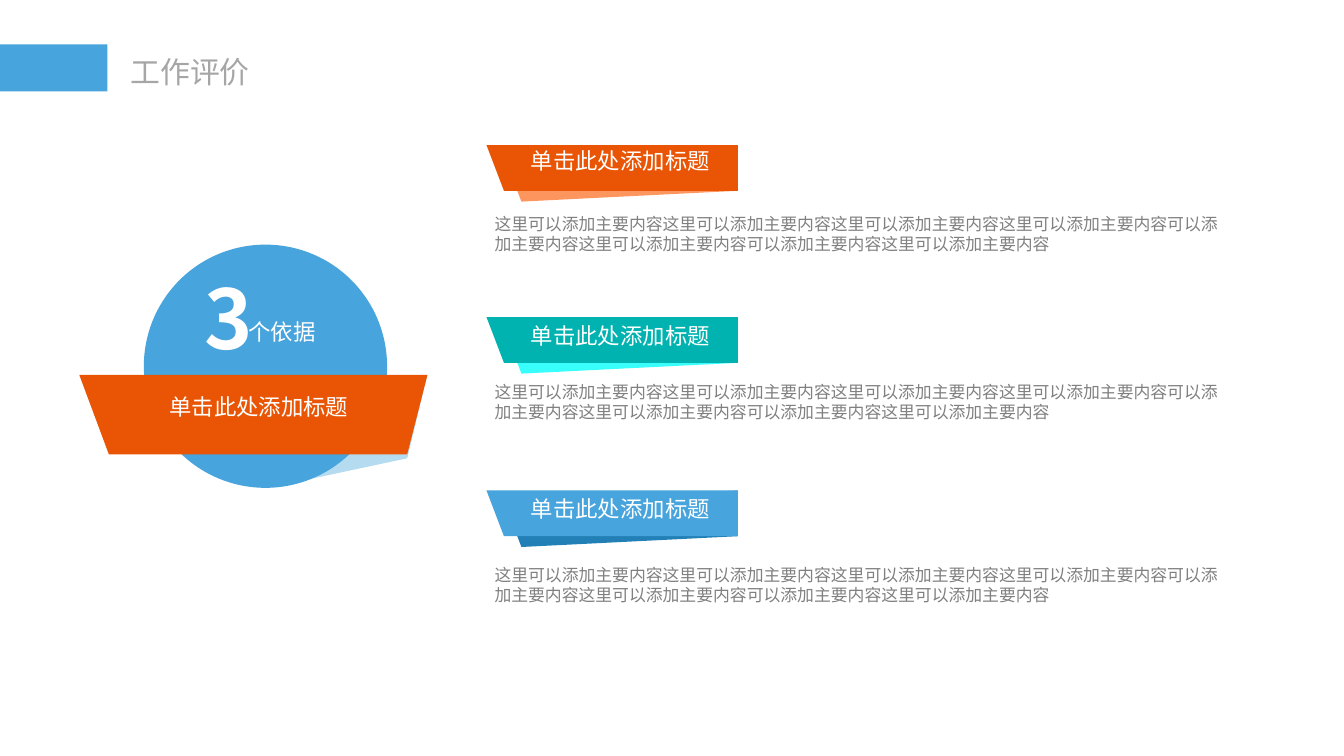
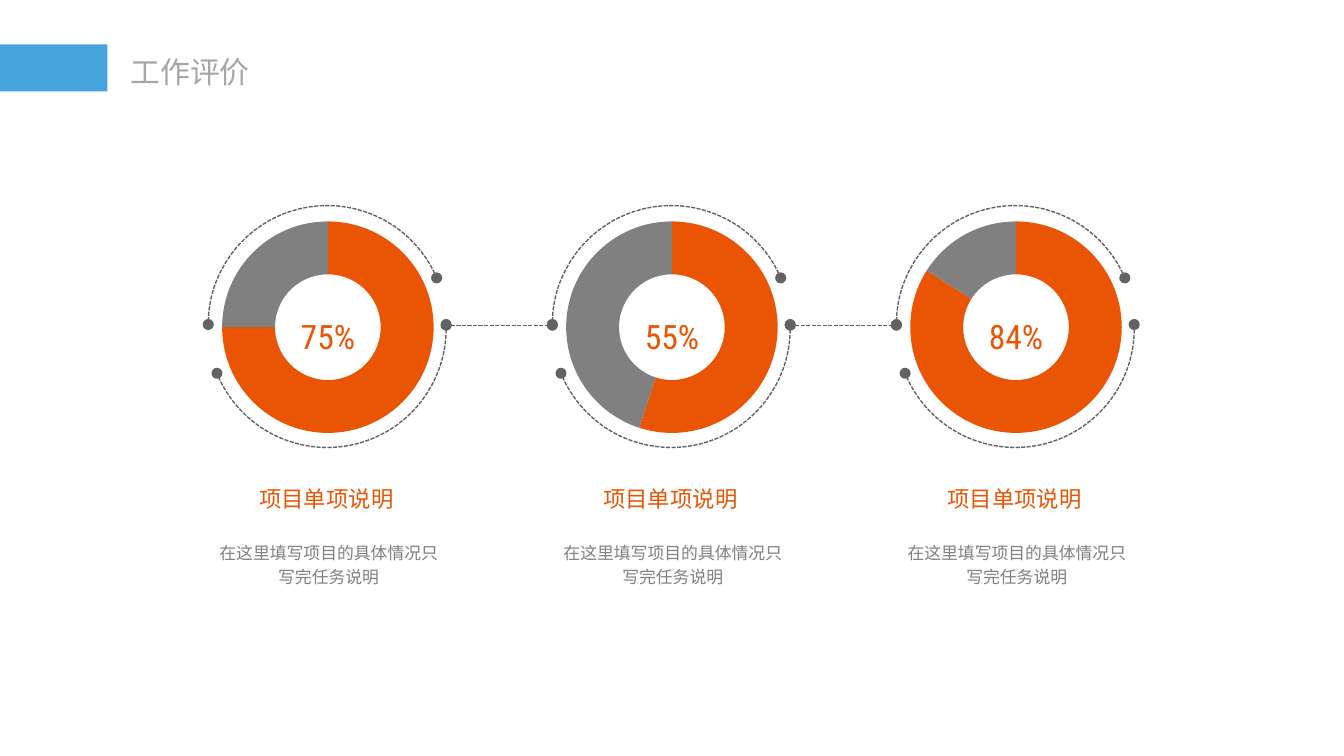
"""Build two work review slides: three criteria and three progress rings."""
from lxml import etree
from pptx import Presentation
from pptx.chart.data import CategoryChartData
from pptx.dml.color import RGBColor
from pptx.enum.chart import XL_CHART_TYPE
from pptx.enum.dml import MSO_LINE
from pptx.enum.shapes import MSO_CONNECTOR, MSO_SHAPE
from pptx.enum.text import MSO_ANCHOR, MSO_AUTO_SIZE, PP_ALIGN
from pptx.oxml.ns import qn
from pptx.util import Inches, Pt

RECTANGLE, OVAL, ARC = MSO_SHAPE.RECTANGLE, MSO_SHAPE.OVAL, MSO_SHAPE.ARC
STRAIGHT = MSO_CONNECTOR.STRAIGHT
DOUGHNUT = XL_CHART_TYPE.DOUGHNUT
SYSTEM_DASH = MSO_LINE.SQUARE_DOT
LEFT, CENTER, JUSTIFY = PP_ALIGN.LEFT, PP_ALIGN.CENTER, PP_ALIGN.JUSTIFY
TOP, MIDDLE = MSO_ANCHOR.TOP, MSO_ANCHOR.MIDDLE
FIT_SHAPE = MSO_AUTO_SIZE.SHAPE_TO_FIT_TEXT

SLIDE_WIDTH = Inches(10)
SLIDE_HEIGHT = SLIDE_WIDTH * 9 // 16

BLUE = RGBColor(0x47, 0xA4, 0xDC)
DARK_BLUE = RGBColor(0x23, 0x80, 0xB7)
PALE_BLUE = RGBColor(0xB5, 0xDB, 0xF1)
ORANGE = RGBColor(0xE9, 0x55, 0x04)
PALE_ORANGE = RGBColor(0xFC, 0x96, 0x5E)
TEAL = RGBColor(0x00, 0xB3, 0xB0)
CYAN = RGBColor(0x38, 0xFF, 0xFC)
WHITE = RGBColor(0xFF, 0xFF, 0xFF)
BLACK = RGBColor(0x00, 0x00, 0x00)
TITLE_GRAY = RGBColor(0xA6, 0xA6, 0xA6)
TEXT_GRAY = RGBColor(0x80, 0x80, 0x80)
LINE_GRAY = RGBColor(0x62, 0x62, 0x62)

MAIN_FONT = "Noto Sans CJK SC"
NUMBER_FONT = "Roboto Condensed"
CHART_FONT = "Calibri"
SMALL_INSETS = (0.07, 0.04)
TITLE_INSETS = (0.08, 0.04)
WIDE_INSETS = (0.1, 0.05)

TITLE = "工作评价"
LABEL = "单击此处添加标题"
BODY = (
    "这里可以添加主要内容这里可以添加主要内容这里可以添加主要内容这里可以添加主要内容"
    "可以添加主要内容这里可以添加主要内容可以添加主要内容这里可以添加主要内容"
)
CRITERIA = [
    {"top": 1.08, "label_top": 1.11, "body_top": 1.55, "color": ORANGE, "fold": PALE_ORANGE},
    {"top": 2.36, "label_top": 2.41, "body_top": 2.8, "color": TEAL, "fold": CYAN},
    {"top": 3.65, "label_top": 3.7, "body_top": 4.16, "color": BLUE, "fold": DARK_BLUE},
]
RIBBON = [(3.62, 0), (5.49, 0), (5.49, 0.34), (3.75, 0.34)]
RIBBON_FOLD = [(3.75, 0.08), (5.49, 0), (5.49, 0.34), (3.88, 0.42)]
BANNER = [(0.59, 2.79), (3.18, 2.79), (3.03, 3.38), (0.81, 3.38)]
BANNER_FOLD = [(2.07, 3.02), (3.18, 2.79), (3.03, 3.41), (2.28, 3.57)]

RING_HEADING = "项目单项说明"
RING_DETAIL = "在这里填写项目的具体情况只写完任务说明"
RINGS = [(75, 70), (55, 80), (84, 70)]
RING_PITCH = 2.56
ARC_LEFT, ARC_SIZE = 1.55, 1.77
ARCS = [
    (1.53, (121.84, 0), ("flipH",)),
    (1.56, (106.84, 202.74), ("flipH", "flipV")),
]
LINK_HEIGHT = 2.42


def paint(shape, color):
    shape.shadow.inherit = False
    shape.fill.solid()
    shape.fill.fore_color.rgb = color
    shape.line.fill.background()


def add_solid(slide, preset, box, color):
    paint(slide.shapes.add_shape(preset, *map(Inches, box)), color)


def add_outline(slide, points, color, top=0):
    corners = [(Inches(x), Inches(top + y)) for x, y in points]
    builder = slide.shapes.build_freeform(*corners[0], scale=1.0)
    builder.add_line_segments(corners[1:], close=True)
    paint(builder.convert_to_shape(), color)


def add_text(slide, box, text, size, color, font=MAIN_FONT, insets=SMALL_INSETS,
             align=LEFT, anchor=TOP, wrap=False, spacing=None, bold=False):
    frame = slide.shapes.add_textbox(*map(Inches, box)).text_frame
    frame.word_wrap = wrap
    frame.auto_size = FIT_SHAPE
    frame.vertical_anchor = anchor
    frame.margin_left = frame.margin_right = Inches(insets[0])
    frame.margin_top = frame.margin_bottom = Inches(insets[1])
    paragraph = frame.paragraphs[0]
    paragraph.alignment = align
    if spacing:
        paragraph.line_spacing = spacing
    run = paragraph.add_run()
    run.text = text
    run.font.size = Pt(size)
    run.font.bold = bold
    run.font.color.rgb = color
    run.font.name = font
    etree.SubElement(run.font._element, qn("a:ea"), typeface=font)


def add_label(slide, left, top):
    add_text(slide, (left, top, 1.5, 0.22), LABEL, 12, WHITE, spacing=0.7)


def style_dashed(shape):
    shape.line.color.rgb = LINE_GRAY
    shape.line.width = Pt(0.75)
    shape.line.dash_style = SYSTEM_DASH
    outline = shape.line._get_or_add_ln()
    for end in ("a:headEnd", "a:tailEnd"):
        etree.SubElement(outline, qn(end), type="oval")


def add_link(slide, start, end):
    link = slide.shapes.add_connector(
        STRAIGHT, Inches(start), Inches(LINK_HEIGHT), Inches(end), Inches(LINK_HEIGHT))
    style_dashed(link)
    etree.SubElement(link._element.spPr, qn("a:effectLst"))


def add_arc(slide, left, top, angles, flips):
    arc = slide.shapes.add_shape(
        ARC, Inches(left), Inches(top), Inches(ARC_SIZE), Inches(ARC_SIZE))
    for index, angle in enumerate(angles):
        arc.adjustments[index] = angle
    for flip in flips:
        arc._element.spPr.find(qn("a:xfrm")).set(flip, "1")
    arc.fill.background()
    style_dashed(arc)
    arc.shadow.inherit = False


def add_ring(slide, left, value, hole):
    data = CategoryChartData()
    data.categories = ["1", "2"]
    data.add_series("Series 1", (value, 100 - value))
    box = map(Inches, (left, 1.51, 2.78, 1.85))
    chart = slide.shapes.add_chart(DOUGHNUT, *box, data).chart
    chart.has_legend = False
    chart.has_title = False
    chart.font.name = CHART_FONT
    chart.font.size = Pt(10)
    chart.font.color.rgb = BLACK
    plot = chart.plots[0]
    plot.vary_by_categories = True
    plot._element.find(qn("c:holeSize")).set("val", str(hole))
    for index, color in enumerate((ORANGE, TEXT_GRAY)):
        sector = plot.series[0].points[index].format
        sector.fill.solid()
        sector.fill.fore_color.rgb = color
        sector.line.fill.background()


def add_titled_slide(presentation):
    slide = presentation.slides.add_slide(presentation.slide_layouts[6])
    add_solid(slide, RECTANGLE, (0, 0.33, 0.8, 0.35), BLUE)
    add_text(slide, (0.89, 0.36, 1.05, 0.35), TITLE, 16, TITLE_GRAY,
             insets=TITLE_INSETS, align=CENTER)
    return slide


def build_criteria(presentation):
    slide = add_titled_slide(presentation)
    add_outline(slide, BANNER_FOLD, PALE_BLUE)
    add_solid(slide, OVAL, (1.07, 1.82, 1.81, 1.81), BLUE)
    add_outline(slide, BANNER, ORANGE)
    add_text(slide, (1.45, 1.95, 0.53, 0.82), "3", 44, WHITE, bold=True)
    add_text(slide, (1.78, 2.33, 1.14, 0.28), "个依据", 12, WHITE, wrap=True)
    add_label(slide, 1.19, 2.94)
    for item in CRITERIA:
        add_outline(slide, RIBBON_FOLD, item["fold"], item["top"])
        add_outline(slide, RIBBON, item["color"], item["top"])
        add_label(slide, 3.88, item["label_top"])
        add_text(slide, (3.61, item["body_top"], 5.53, 0.38), BODY, 9, TEXT_GRAY, wrap=True)


def build_rings(presentation):
    slide = add_titled_slide(presentation)
    for index, (value, hole) in enumerate(RINGS):
        shift = index * RING_PITCH
        arc_left = ARC_LEFT + shift
        if index:
            add_link(slide, arc_left - RING_PITCH + ARC_SIZE, arc_left)
        for top, angles, flips in ARCS:
            add_arc(slide, arc_left, top, angles, flips)
        add_ring(slide, 1.05 + shift, value, hole)
        add_text(slide, (1.83 + shift, 3.52, 1.21, 0.34), RING_HEADING, 12, ORANGE,
                 insets=WIDE_INSETS, align=JUSTIFY, spacing=1.2)
        add_text(slide, (1.53 + shift, 3.96, 1.83, 0.46), RING_DETAIL, 9, TEXT_GRAY,
                 insets=WIDE_INSETS, align=CENTER, anchor=MIDDLE, wrap=True, spacing=1.2)
        add_text(slide, (2.12 + shift, 2.24, 0.64, 0.43), f"{value}%", 18, ORANGE,
                 font=NUMBER_FONT, insets=WIDE_INSETS, align=CENTER, spacing=1.2)


def main():
    presentation = Presentation()
    presentation.slide_width = SLIDE_WIDTH
    presentation.slide_height = SLIDE_HEIGHT
    build_criteria(presentation)
    build_rings(presentation)
    presentation.save("out.pptx")


if __name__ == "__main__":
    main()
